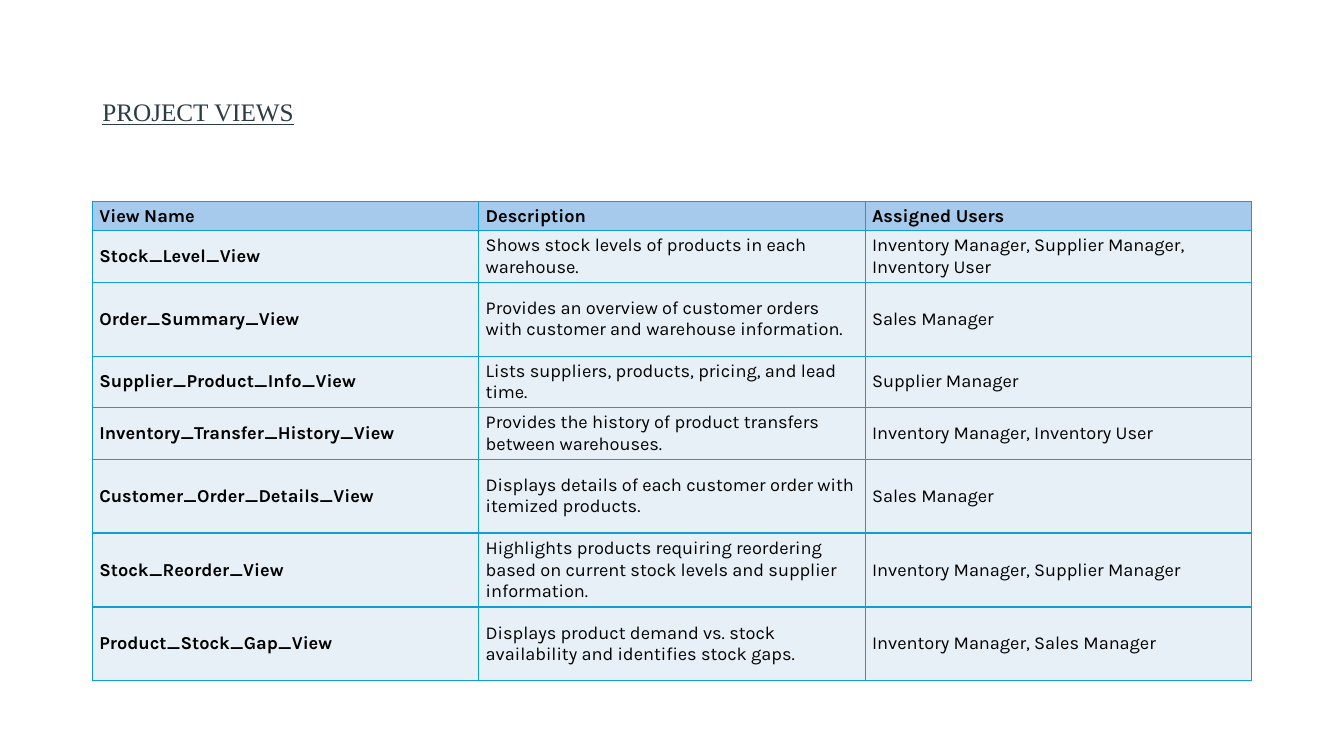
from lxml import etree
from pptx import Presentation
from pptx.dml.color import RGBColor
from pptx.enum import text
from pptx.oxml import ns
from pptx.util import Pt

INK = RGBColor(0x2D, 0x3B, 0x45)
BLACK = RGBColor(0x00, 0x00, 0x00)
HEADER_FILL = RGBColor(0xA6, 0xCA, 0xEC)
BODY_FILL = RGBColor(0xE7, 0xF0, 0xF7)
BORDER = RGBColor(0x0F, 0x9E, 0xD5)

HEADER_HEIGHT, SHORT, TALL = 20.8, 36.8, 52.8

HEADINGS = ("View Name", "Description", "Assigned Users")
VIEWS = [
    (SHORT, "Stock_Level_View",
     "Shows stock levels of products in each warehouse.",
     "Inventory Manager, Supplier Manager, Inventory User"),
    (TALL, "Order_Summary_View",
     "Provides an overview of customer orders with customer and warehouse information.",
     "Sales Manager"),
    (SHORT, "Supplier_Product_Info_View",
     "Lists suppliers, products, pricing, and lead time.",
     "Supplier Manager"),
    (SHORT, "Inventory_Transfer_History_View",
     "Provides the history of product transfers between warehouses.",
     "Inventory Manager, Inventory User"),
    (TALL, "Customer_Order_Details_View",
     "Displays details of each customer order with itemized products.",
     "Sales Manager"),
    (TALL, "Stock_Reorder_View",
     "Highlights products requiring reordering based on current stock levels "
     "and supplier information.",
     "Inventory Manager, Supplier Manager"),
    (TALL, "Product_Stock_Gap_View",
     "Displays product demand vs. stock availability and identifies stock gaps.",
     "Inventory Manager, Sales Manager"),
]


def add_title(page, left, top, width, height):
    box = page.shapes.add_textbox(Pt(left), Pt(top), Pt(width), Pt(height))
    frame = box.text_frame
    frame.word_wrap = True
    frame.vertical_anchor = text.MSO_ANCHOR.MIDDLE
    para = frame.paragraphs[0]
    para.text = "PROJECT VIEWS"
    para.line_spacing = 0.9
    para.font.name = "Times New Roman"
    para.font.size = Pt(18)
    para.font.underline = True
    para.font.color.rgb = INK


def set_borders(cell):
    # Border lines must come before the fill in the cell properties
    properties = cell._tc.get_or_add_tcPr()
    for index, side in enumerate(("a:lnL", "a:lnR", "a:lnT", "a:lnB")):
        line = etree.Element(ns.qn(side), w=str(Pt(1)))
        fill = etree.SubElement(line, ns.qn("a:solidFill"))
        etree.SubElement(fill, ns.qn("a:srgbClr"), val=str(BORDER))
        properties.insert(index, line)


def fill_cell(cell, words, color, bold):
    cell.fill.solid()
    cell.fill.fore_color.rgb = color
    cell.vertical_anchor = text.MSO_ANCHOR.MIDDLE
    cell.margin_left = cell.margin_right = Pt(5)
    cell.margin_top = cell.margin_bottom = Pt(2.6)
    para = cell.text_frame.paragraphs[0]
    para.text = words
    para.font.name = "Karla"
    para.font.size = Pt(13)
    para.font.bold = bold
    para.font.color.rgb = BLACK
    set_borders(cell)


def add_views_table(page, left, top, width):
    rows = [(HEADER_HEIGHT, *HEADINGS), *VIEWS]
    height = sum(row[0] for row in rows)
    table = page.shapes.add_table(len(rows), len(HEADINGS), Pt(left), Pt(top),
                                  Pt(width), Pt(height)).table
    table.horz_banding = False
    for column in table.columns:
        column.width = Pt(width / len(HEADINGS))
    for r, (row_height, *entries) in enumerate(rows):
        table.rows[r].height = Pt(row_height)
        for c, words in enumerate(entries):
            fill_cell(table.cell(r, c), words,
                      HEADER_FILL if r == 0 else BODY_FILL,
                      bold=r == 0 or c == 0)


def main():
    deck = Presentation()
    deck.slide_width, deck.slide_height = Pt(960), Pt(540)
    page = deck.slides.add_slide(deck.slide_layouts[6])
    add_title(page, 66, 28.75, 828, 104.4)
    add_views_table(page, 66, 144, 828)
    deck.save("out.pptx")


if __name__ == "__main__":
    main()
